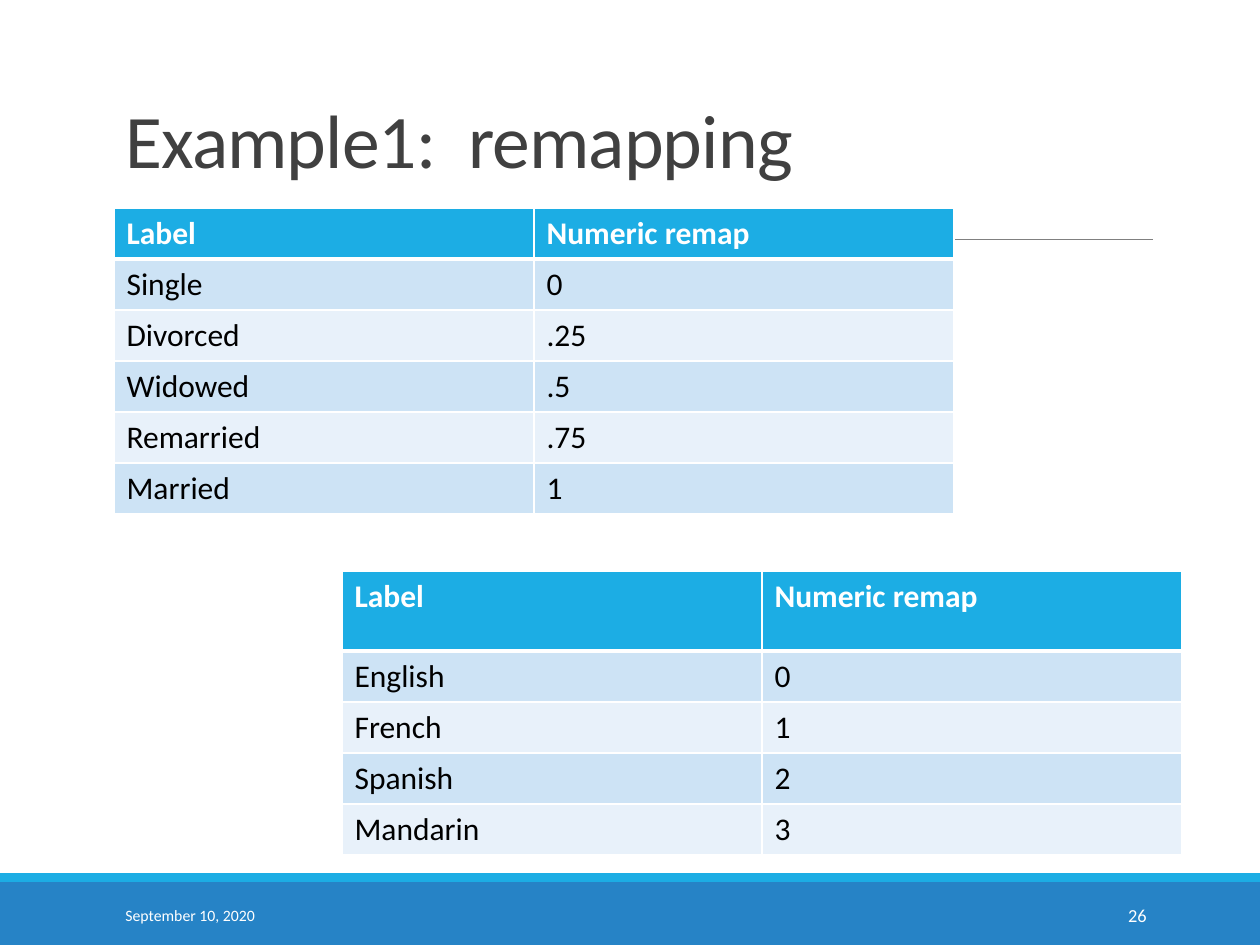
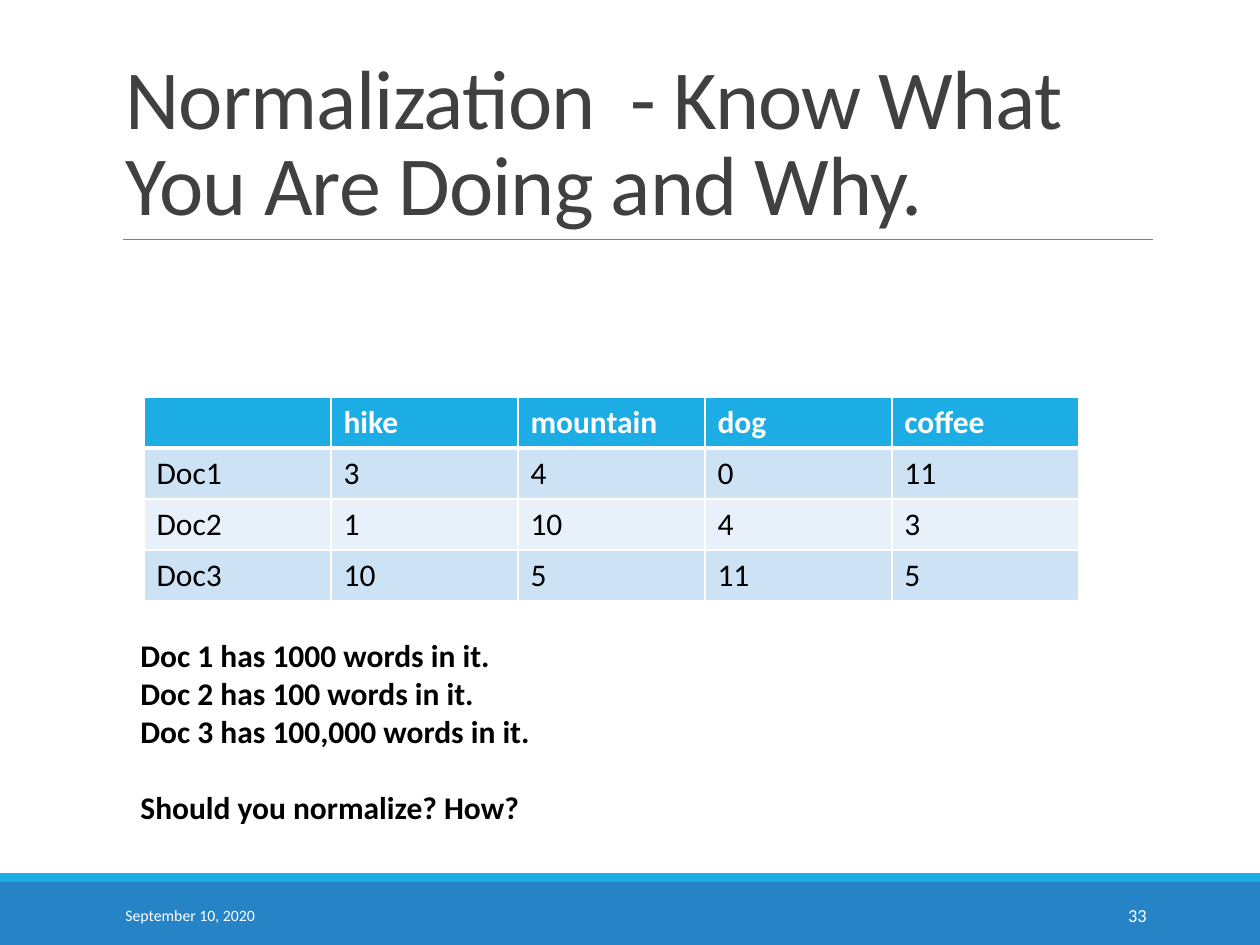
import pptx
import pptx.dml.color
import pptx.enum.shapes
import pptx.enum.text
import pptx.oxml
import pptx.oxml.ns
import pptx.util
from dataclasses import dataclass

ALIGN = pptx.enum.text.PP_ALIGN
ANCHOR = pptx.enum.text.MSO_ANCHOR
PX_PER_INCH = 126
SLIDE_W, SLIDE_H = 1260, 945
ROW_H = 51


@dataclass(frozen=True)
class Theme:
    font: str = "Calibri"
    band: str = "2683C6"
    accent: str = "1CADE4"
    rule: str = "808080"
    title: str = "404040"
    text: str = "000000"
    light: str = "FFFFFF"
    stripes: tuple = ("CDE3F5", "E8F1FA")
    title_size: float = 48
    small_title_size: float = 43.2
    body_size: float = 18
    date_size: float = 9
    number_size: float = 10.5


THEME = Theme()


def px(n):
    return pptx.util.Emu(round(n * 914400 / PX_PER_INCH))


def rgb(value):
    return pptx.dml.color.RGBColor.from_string(value)


def write(tf, *lines, size=THEME.body_size, color=THEME.text, bold=False,
          align=ALIGN.LEFT, anchor=ANCHOR.TOP, wrap=True, leading=None,
          tracking=None):
    """Fill a text frame with one paragraph per line and return them."""
    tf.word_wrap = wrap
    tf.vertical_anchor = anchor
    for i, line in enumerate(lines):
        p = tf.add_paragraph() if i else tf.paragraphs[0]
        p.alignment = align
        if leading:
            p.line_spacing = leading
        r = p.add_run()
        r.text = line
        r.font.name = THEME.font
        r.font.size = pptx.util.Pt(size)
        r.font.bold = bold
        r.font.color.rgb = rgb(color)
        if tracking is not None:
            r.font._element.set("spc", str(round(tracking * 100)))
    return tf.paragraphs


def add_text(slide, box, *lines, **fmt):
    sp = slide.shapes.add_textbox(*map(px, box))
    return write(sp.text_frame, *lines, **fmt)


def add_band(slide, box, color):
    sp = slide.shapes.add_shape(
        pptx.enum.shapes.MSO_SHAPE.RECTANGLE, *map(px, box))
    sp.shadow.inherit = False
    sp.fill.solid()
    sp.fill.fore_color.rgb = rgb(color)
    sp.line.fill.background()


def add_footer(slide, box, date, number):
    """Blue band with a bright top edge, the date and the slide number."""
    x, y, w, h = box
    edge = 9
    add_band(slide, (x, y + edge, w, h - edge), THEME.band)
    add_band(slide, (x, y, w, edge), THEME.accent)
    fmt = dict(color=THEME.light, anchor=ANCHOR.MIDDLE)
    add_text(slide, (x + 113, y + 17, 256, 50), date,
             size=THEME.date_size, **fmt)
    add_text(slide, (x + w - 237, y + 17, 136, 50), number,
             size=THEME.number_size, align=ALIGN.RIGHT, **fmt)


def add_title(slide, box, text, size):
    sp = slide.shapes.title
    sp.left, sp.top, sp.width, sp.height = map(px, box)
    sp.text_frame.auto_size = pptx.enum.text.MSO_AUTO_SIZE.NONE
    write(sp.text_frame, text, size=size, color=THEME.title,
          anchor=ANCHOR.BOTTOM, leading=0.85, tracking=-0.5)


def add_rule(slide, x, y, w):
    line = slide.shapes.add_connector(
        pptx.enum.shapes.MSO_CONNECTOR.STRAIGHT, px(x), px(y), px(x + w), px(y))
    line.line.color.rgb = rgb(THEME.rule)
    line.line.width = pptx.util.Pt(0.5)
    pptx.oxml.ns.qn("a:effectLst")
    line._element.spPr.append(pptx.oxml.parse_xml(
        f'<a:effectLst {pptx.oxml.ns.nsdecls("a")}/>'))


def set_borders(cell, **widths):
    """Draw the cell's borders; must come before its fill."""
    tc_pr = cell._tc.get_or_add_tcPr()
    for side in "LRTB":
        width = pptx.util.Pt(widths.get(side, 1))
        tc_pr.append(pptx.oxml.parse_xml(
            f'<a:ln{side} {pptx.oxml.ns.nsdecls("a")} w="{width}"><a:solidFill>'
            f'<a:srgbClr val="{THEME.light}"/></a:solidFill></a:ln{side}>'))


def add_data_table(slide, x, y, col_w, rows, header_h=ROW_H):
    """Striped table whose first row is the header."""
    cols = len(rows[0])
    height = header_h + ROW_H * (len(rows) - 1)
    table = slide.shapes.add_table(
        len(rows), cols, *map(px, (x, y, col_w * cols, height))).table
    for column in table.columns:
        column.width = px(col_w)
    for i, values in enumerate(rows):
        header = i == 0
        table.rows[i].height = px(header_h if header else ROW_H)
        for j, value in enumerate(values):
            cell = table.cell(i, j)
            set_borders(cell, T=3 if i == 1 else 1, B=3 if header else 1)
            cell.fill.solid()
            cell.fill.fore_color.rgb = rgb(
                THEME.accent if header else THEME.stripes[(i - 1) % 2])
            if value:
                write(cell.text_frame, value, bold=header,
                      color=THEME.light if header else THEME.text)


def new_slide(prs, number, title, title_box, title_size):
    """Slide with the shared footer, title and rule."""
    slide = prs.slides.add_slide(prs.slide_layouts[5])
    add_footer(slide, (0, 873, SLIDE_W, 72), "September 10, 2020", number)
    add_rule(slide, 123, 239, 1030)
    add_title(slide, title_box, title, title_size)
    return slide


def remapping_slide(prs):
    slide = new_slide(prs, "26", "Example1:  remapping",
                      (113, 94, 968, 96), THEME.small_title_size)
    header = ("Label", "Numeric remap")
    marital_status = [header, ("Single", "0"), ("Divorced", ".25"),
                      ("Widowed", ".5"), ("Remarried", ".75"), ("Married", "1")]
    languages = [header, ("English", "0"), ("French", "1"),
                 ("Spanish", "2"), ("Mandarin", "3")]
    add_data_table(slide, 114, 208, 420, marital_status)
    add_data_table(slide, 342, 571, 420, languages, header_h=80)


def normalization_slide(prs):
    slide = new_slide(prs, "33",
                      "Normalization  - Know What You Are Doing and Why.",
                      (113, 39, 1040, 200), THEME.title_size)
    word_counts = [("", "hike", "mountain", "dog", "coffee"),
                   ("Doc1", "3", "4", "0", "11"),
                   ("Doc2", "1", "10", "4", "3"),
                   ("Doc3", "10", "5", "11", "5")]
    add_data_table(slide, 144, 397, 187, word_counts)
    paragraphs = add_text(slide, (128, 630, 472, 204),
                          "Doc 1 has 1000 words in it.",
                          "Doc 2 has 100 words in it.",
                          "Doc 3 has 100,000 words in it.",
                          "Should you normalize? How?", bold=True, wrap=False)
    # The question stands one line below the facts
    paragraphs[-1].space_before = pptx.util.Pt(22)


def main():
    prs = pptx.Presentation()
    prs.slide_width, prs.slide_height = px(SLIDE_W), px(SLIDE_H)
    remapping_slide(prs)
    normalization_slide(prs)
    prs.save("out.pptx")


if __name__ == "__main__":
    main()
